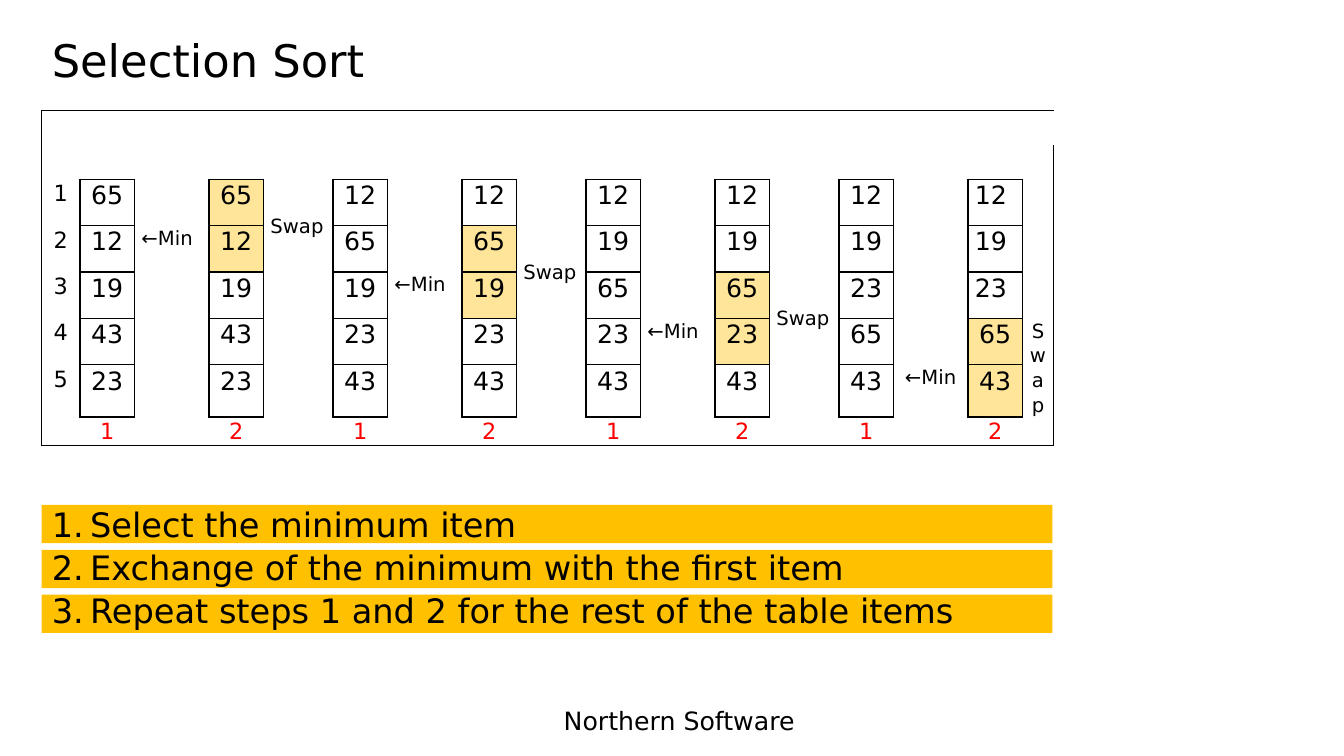
"""Build the Selection Sort slide: the passes table, the numbered steps and the footer."""
from lxml import etree
from pptx import Presentation
from pptx import util as u
from pptx.dml.color import RGBColor
from pptx.enum import shapes, text
from pptx.oxml.ns import qn

FONT = "DejaVu Sans"
BLACK = RGBColor(0x00, 0x00, 0x00)
RED = RGBColor(0xFF, 0x00, 0x00)
AMBER = RGBColor(0xFF, 0xC0, 0x00)
CREAM = RGBColor(0xFF, 0xE5, 0x99)
LEFT, CENTER = text.PP_ALIGN.LEFT, text.PP_ALIGN.CENTER
MIDDLE = text.MSO_ANCHOR.MIDDLE
NO_GRID_STYLE = "{2D5ABB26-0587-4C30-8999-92F81FD0307C}"

deck = Presentation()
deck.slide_width, deck.slide_height = u.Inches(13.33), u.Inches(7.5)
slide = deck.slides.add_slide(deck.slide_layouts[1])


def share(left, top, width, height):
    """Turn shares of the slide into a left, top, width, height in EMU."""
    across, down = deck.slide_width, deck.slide_height
    return int(left * across), int(top * down), int(width * across), int(height * down)


def write(paragraph, words, size=18, color=BLACK, align=LEFT, spacing=1.07, after=0):
    """Put formatted words in a paragraph."""
    paragraph.text = words
    paragraph.alignment = align
    paragraph.line_spacing = spacing
    paragraph.space_before, paragraph.space_after = u.Pt(0), u.Pt(after)
    for run in paragraph.runs:
        run.font.name, run.font.size = FONT, u.Pt(size)
        run.font.color.rgb = color
    if not words:
        etree.SubElement(paragraph._p, qn("a:endParaRPr"), sz=str(size * 100))


heading = slide.shapes.title
heading.left, heading.top, heading.width, heading.height = share(0.031, 0.02, 0.9, 0.127)
heading.text_frame.vertical_anchor = MIDDLE
heading.text_frame.auto_size = text.MSO_AUTO_SIZE.NONE
write(heading.text_frame.paragraphs[0], "Selection Sort", size=32, spacing=0.9)

steps = ["Select the minimum item",
         "Exchange of the minimum with the first item",
         "Repeat steps 1 and 2 for the rest of the table items"]
step_list = slide.placeholders[1]
step_list.left, step_list.top, step_list.width, step_list.height = share(0.031, 0.656, 0.785, 0.181)
step_list.text_frame.auto_size = text.MSO_AUTO_SIZE.NONE
step_list.text_frame.text = "\n".join(steps)
for place, (paragraph, step) in enumerate(zip(step_list.text_frame.paragraphs, steps)):
    write(paragraph, step, size=24)
    properties = paragraph._p.get_or_add_pPr()
    properties.set("marL", str(u.Inches(0.38)))
    properties.set("indent", str(-u.Inches(0.38)))
    etree.SubElement(properties, qn("a:buFont"), typeface=FONT)
    etree.SubElement(properties, qn("a:buAutoNum"), type="arabicPeriod")
    band = slide.shapes.add_shape(shapes.MSO_SHAPE.RECTANGLE,
                                  *share(0.031, 0.668 + 0.0593 * place, 0.752, 0.0507))
    band.shadow.inherit = False
    band.fill.solid()
    band.fill.fore_color.rgb = AMBER
    band.line.fill.background()
    slide.shapes._spTree.insert(2 + place, band._element)

passes = [(65, 12, 19, 43, 23), (12, 65, 19, 23, 43), (12, 19, 65, 23, 43), (12, 19, 23, 65, 43)]
row_heights = [0.34, 0.34] + [0.46] * 4 + [0.52, 0.28]
column_widths = [0.38] + [0.54, 0.74, 0.54, 0.69] * 4
column_widths[-1] = 0.31
last_row, last_column = len(row_heights) - 1, len(column_widths) - 1
first_item = 2

board = slide.shapes.add_table(len(row_heights), len(column_widths),
                               *share(0.031, 0.1465, 0.752, 0.444))
table = board.table
table.first_row = table.horz_banding = False
table._tbl.tblPr.find(qn("a:tableStyleId")).text = NO_GRID_STYLE
for row, height in zip(table.rows, row_heights):
    row.height = u.Inches(height)
for column, width in zip(table.columns, column_widths):
    column.width = u.Inches(width)
table.cell(0, 0).merge(table.cell(0, last_column))

contents, swapped, boxed = {}, set(), set()
for item in range(5):
    contents[first_item + item, 0] = (str(item + 1), dict(size=16, align=CENTER))
for turn, values in enumerate(passes):
    target = first_item + turn
    before = 1 + 4 * turn
    minimum, after, swap = before + 1, before + 2, before + 3
    for stage, column in enumerate((before, after), 1):
        for row, value in enumerate(values, first_item):
            flush = column == last_column - 1 and row < target
            contents[row, column] = (str(value), dict(align=LEFT if flush else CENTER))
            boxed.add((row, column))
        contents[last_row, column] = (str(stage), dict(size=16, color=RED, align=CENTER))
    swapped |= {(target, after), (target + 1, after)}
    final = CENTER if turn == len(passes) - 1 else LEFT
    contents[target + 1, minimum] = ("←Min", dict(size=14, align=final))
    contents[target, swap] = ("Swap", dict(size=14, align=final))
    table.cell(target, swap).merge(table.cell(target + 1, swap))
    table.cell(target, swap).vertical_anchor = MIDDLE

for row in range(last_row + 1):
    for column in range(last_column + 1):
        cell, spot = table.cell(row, column), (row, column)
        cell.margin_left = cell.margin_right = u.Inches(0.07)
        cell.margin_top = cell.margin_bottom = 0
        words, style = contents.get(spot, ("", dict(size=8)))
        write(cell.text_frame.paragraphs[0], words, after=8 if words else 0, **style)
        edges = {"a:lnL": column == 0 or {spot, (row, column - 1)} & boxed,
                 "a:lnR": column == last_column or {spot, (row, column + 1)} & boxed,
                 "a:lnT": row == 0 or {spot, (row - 1, column)} & boxed,
                 "a:lnB": row == last_row or {spot, (row + 1, column)} & boxed}
        for edge in (name for name, drawn in edges.items() if drawn):
            line = etree.SubElement(cell._tc.get_or_add_tcPr(), qn(edge), w=str(u.Pt(1)))
            paint = etree.SubElement(line, qn("a:solidFill"))
            etree.SubElement(paint, qn("a:srgbClr"), val=str(BLACK))
        if spot in swapped:
            cell.fill.solid()
            cell.fill.fore_color.rgb = CREAM
        else:
            cell.fill.background()

footer = slide.shapes.add_textbox(*share(0.412, 0.927, 0.218, 0.053))
footer.text_frame.word_wrap = True
write(footer.text_frame.paragraphs[0], "Northern Software", spacing=1.0)

deck.save("out.pptx")
